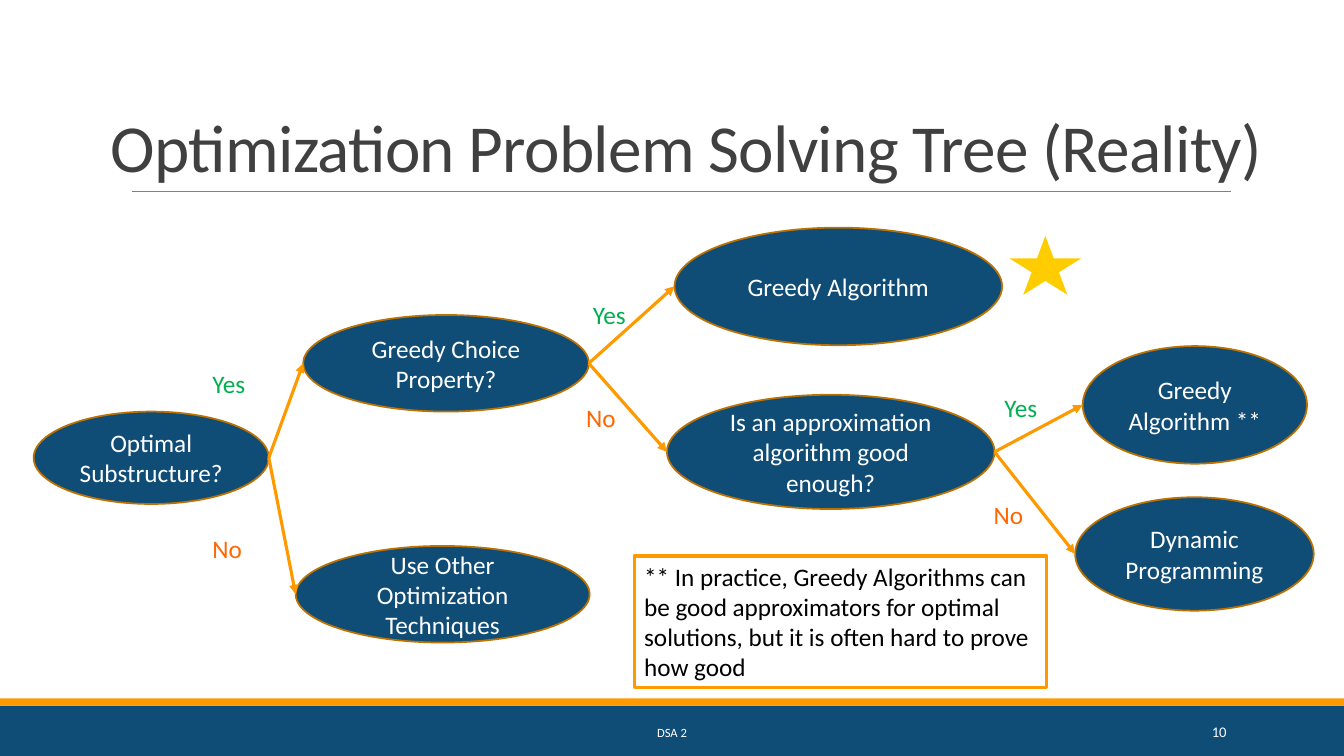
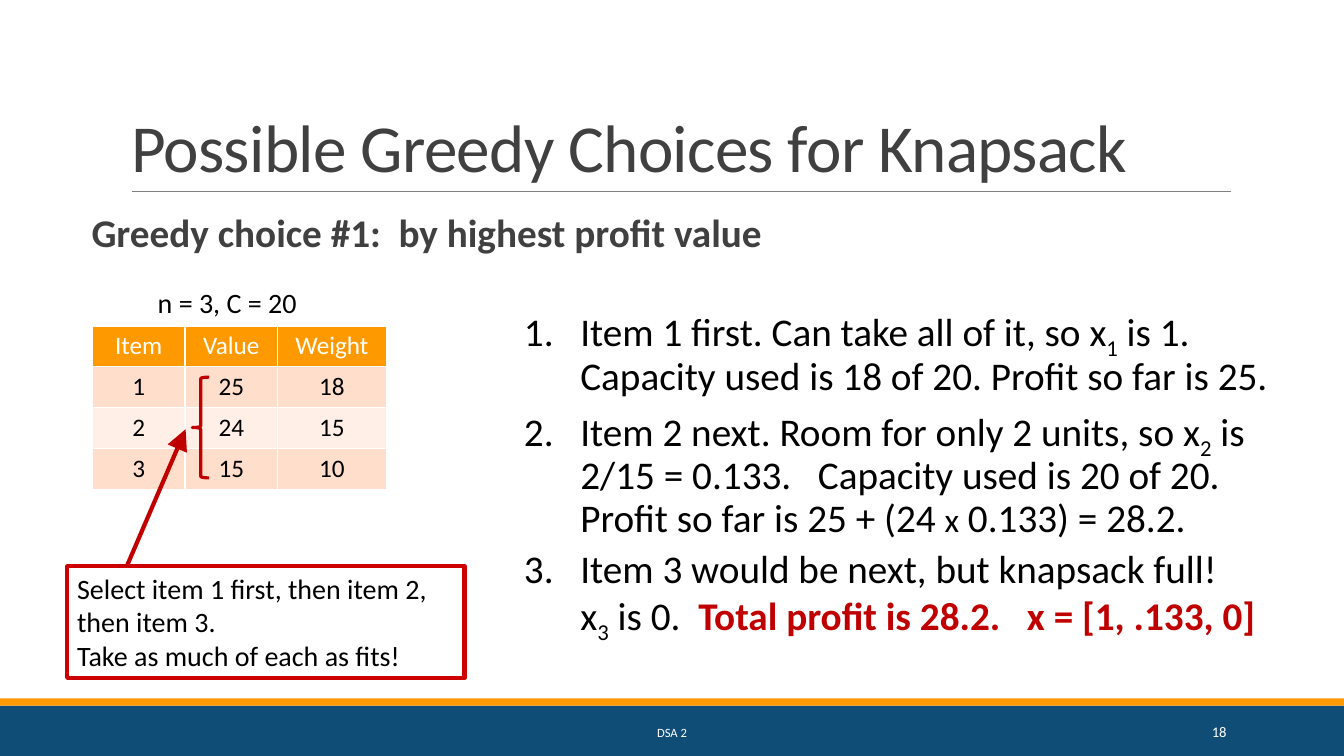
"""Builds two slides about greedy algorithms on a shared grid of 160 columns by 90 rows."""
from dataclasses import dataclass

from lxml.etree import SubElement
from pptx import Presentation
from pptx.dml.color import RGBColor
from pptx.enum.shapes import MSO_CONNECTOR, MSO_SHAPE
from pptx.enum.text import MSO_ANCHOR, MSO_AUTO_SIZE, PP_ALIGN
from pptx.oxml.ns import qn
from pptx.util import Emu, Inches, Pt

COLUMNS, ROWS = 160, 90
CELL = Inches(7.5) // ROWS
FONT = "Calibri"
TITLE_ONLY = 5
ELLIPSE_LEFT, ELLIPSE_RIGHT = 2, 6

NAVY = RGBColor(0x0F, 0x4C, 0x76)
ORANGE = RGBColor(0xFF, 0x99, 0x00)
BROWN = RGBColor(0xBD, 0x71, 0x00)
GOLD = RGBColor(0xFF, 0xCC, 0x00)
GREEN = RGBColor(0x00, 0xB0, 0x50)
VERMILION = RGBColor(0xFF, 0x66, 0x00)
RED = RGBColor(0xCC, 0x00, 0x00)
DARK_RED = RGBColor(0xC0, 0x00, 0x00)
GRAY = RGBColor(0x80, 0x80, 0x80)
CHARCOAL = RGBColor(0x40, 0x40, 0x40)
BLACK = RGBColor(0x00, 0x00, 0x00)
WHITE = RGBColor(0xFF, 0xFF, 0xFF)
PEACH = RGBColor(0xFF, 0xDE, 0xCC)
PALE_PEACH = RGBColor(0xFF, 0xEF, 0xE7)


@dataclass(frozen=True)
class Box:
    """A rectangle measured in grid columns and rows."""
    left: float
    top: float
    width: float
    height: float

    def inner(self, left, top, width, height):
        """Return a box placed relative to this one."""
        return Box(self.left + left, self.top + top, width, height)

    def point(self, left, top):
        """Return a point placed relative to this box."""
        return self.left + left, self.top + top

    def side(self, share):
        """Return the point at mid height, at a share of the width."""
        return self.point(share * self.width, self.height / 2)

    def lengths(self):
        """Return left, top, width and height as slide lengths."""
        return [cells(value) for value in (self.left, self.top, self.width, self.height)]


@dataclass(frozen=True)
class Style:
    """The look of a run of text."""
    size: float
    color: RGBColor
    bold: bool = False
    subscript: bool = False


PAGE = Box(0, 0, COLUMNS, ROWS)
TITLE = Style(48, CHARCOAL)
NODE = Style(18, WHITE)
NOTE = Style(18, BLACK)
CAPTION = Style(20, BLACK)
STEP = Style(28, BLACK)
INDEX = Style(28, BLACK, subscript=True)
TIMES = Style(24, BLACK)
RESULT = Style(28, DARK_RED, bold=True)
HEADING = Style(28, CHARCOAL, bold=True)


def cells(count):
    """Convert a number of grid cells to a slide length."""
    return Emu(round(count * CELL))


def add_runs(paragraph, *pieces):
    """Add (text, style) pieces as runs, breaking lines at newlines."""
    for text, style in pieces:
        for number, line in enumerate(text.split("\n")):
            if number:
                paragraph.add_line_break()
            run = paragraph.add_run()
            run.text = line
            run.font.name = FONT
            run.font.size = Pt(style.size)
            run.font.bold = style.bold
            run.font.color.rgb = style.color
            if style.subscript:
                run.font._element.set("baseline", "-25000")


def add_text(slide, box, text, style, align=PP_ALIGN.LEFT, anchor=MSO_ANCHOR.TOP, wrap=True):
    """Add a text box holding one paragraph and return it."""
    shape = slide.shapes.add_textbox(*box.lengths())
    frame = shape.text_frame
    frame.word_wrap = wrap
    frame.vertical_anchor = anchor
    paragraph = frame.paragraphs[0]
    paragraph.alignment = align
    add_runs(paragraph, (text, style))
    return shape


def add_framed_text(slide, box, text, style, color, width):
    """Add a text box with an outline."""
    shape = add_text(slide, box, text, style)
    shape.line.color.rgb = color
    shape.line.width = Pt(width)


def add_figure(slide, kind, box, fill=None, line=None, width=1.25):
    """Add a preset shape with the given fill and outline."""
    shape = slide.shapes.add_shape(kind, *box.lengths())
    shape.shadow.inherit = False
    if fill is None:
        shape.fill.background()
    else:
        shape.fill.solid()
        shape.fill.fore_color.rgb = fill
    if line is None:
        shape.line.fill.background()
    else:
        shape.line.color.rgb = line
        shape.line.width = Pt(width)
    return shape


def add_line(slide, start, end, color, width, head=None):
    """Add a straight line, with an arrowhead of the given size at its end."""
    ends = [cells(value) for value in (*start, *end)]
    connector = slide.shapes.add_connector(MSO_CONNECTOR.STRAIGHT, *ends)
    connector.line.color.rgb = color
    connector.line.width = Pt(width)
    properties = connector._element.spPr
    if head:
        SubElement(properties.find(qn("a:ln")), qn("a:tailEnd"), type="triangle", w=head, len=head)
    SubElement(properties, qn("a:effectLst"))
    return connector


def add_page(presentation, title, title_box, number):
    """Add a slide with its title, rule, bands and footer."""
    slide = presentation.slides.add_slide(presentation.slide_layouts[TITLE_ONLY])
    shape = slide.shapes.title
    shape.left, shape.top, shape.width, shape.height = title_box.lengths()
    frame = shape.text_frame
    frame.word_wrap = True
    frame.auto_size = MSO_AUTO_SIZE.NONE
    frame.vertical_anchor = MSO_ANCHOR.BOTTOM
    paragraph = frame.paragraphs[0]
    paragraph.alignment = PP_ALIGN.LEFT
    paragraph.line_spacing = 0.85
    add_runs(paragraph, (title, TITLE))
    paragraph.runs[0].font._element.set("spc", "-50")

    add_line(slide, PAGE.point(15.75, 22.8), PAGE.point(146.5, 22.8), GRAY, 0.5)
    band = PAGE.inner(0, 84, COLUMNS, 6)
    add_figure(slide, MSO_SHAPE.RECTANGLE, band, NAVY)
    add_figure(slide, MSO_SHAPE.RECTANGLE, band.inner(0, -0.84, COLUMNS, 0.84), ORANGE)
    add_text(slide, band.inner(48.4, 0.75, 63.2, 4.8), "DSA 2", Style(9, WHITE),
             PP_ALIGN.CENTER, MSO_ANCHOR.MIDDLE)
    add_text(slide, band.inner(130, 0.75, 17.2, 4.8), number, Style(10.5, WHITE),
             PP_ALIGN.RIGHT, MSO_ANCHOR.MIDDLE)
    return slide


def add_branch(slide, nodes, parent, child, answer, label_box):
    """Join two nodes by an arrow and write its answer beside it."""
    (start_box, start_shape), (end_box, end_shape) = nodes[parent], nodes[child]
    connector = add_line(slide, start_box.side(1), end_box.side(0), ORANGE, 2.25, "med")
    joints = connector._element.nvCxnSpPr.cNvCxnSpPr
    SubElement(joints, qn("a:stCxn"), id=str(start_shape.shape_id), idx=str(ELLIPSE_RIGHT))
    SubElement(joints, qn("a:endCxn"), id=str(end_shape.shape_id), idx=str(ELLIPSE_LEFT))
    color = GREEN if answer == "Yes" else VERMILION
    add_text(slide, label_box, answer, Style(18, color))


def add_decision_tree(slide, area):
    """Draw the decision tree with its star and note inside the area."""
    layout = {
        "substructure": ("Optimal Substructure?", (0, 22, 28, 11)),
        "choice": ("Greedy Choice Property?", (32.1, 10.5, 34, 11.5)),
        "other": ("Use Other Optimization Techniques", (31.2, 38, 35, 11.5)),
        "approximation": ("Is an approximation algorithm good enough?", (75.4, 20, 39, 13.6)),
        "approximate greedy": ("Greedy Algorithm **", (124.9, 14.2, 26.7, 14)),
        "dynamic": ("Dynamic Programming", (124, 32.2, 28.4, 13.5)),
        "greedy": ("Greedy Algorithm", (76.3, 0.1, 39, 14)),
    }
    nodes = {}
    for name, (text, place) in layout.items():
        box = area.inner(*place)
        shape = add_figure(slide, MSO_SHAPE.OVAL, box, NAVY, BROWN)
        shape.text_frame.word_wrap = True
        paragraph = shape.text_frame.paragraphs[0]
        paragraph.alignment = PP_ALIGN.CENTER
        add_runs(paragraph, (text, NODE))
        nodes[name] = box, shape

    branches = [
        ("substructure", "choice", "Yes", 20.1, 16.2),
        ("substructure", "other", "No", 20.1, 35.9),
        ("choice", "greedy", "Yes", 65.4, 8),
        ("choice", "approximation", "No", 64.6, 20.3),
        ("approximation", "approximate greedy", "Yes", 114.4, 19.1),
        ("approximation", "dynamic", "No", 113.1, 31.8),
    ]
    for parent, child, answer, left, top in branches:
        add_branch(slide, nodes, parent, child, answer, area.inner(left, top, 8, 4.8))

    add_figure(slide, MSO_SHAPE.STAR_5_POINT, area.inner(116.2, 1.1, 8.5, 7), GOLD)
    add_framed_text(slide, area.inner(71.5, 39.2, 49.1, 15.7),
                    "** In practice, Greedy Algorithms can be good approximators for optimal "
                    "solutions, but it is often hard to prove how good", NOTE, ORANGE, 2.25)


def add_item_table(slide, box):
    """Add the table of items, with its caption above."""
    add_text(slide, box.inner(6.6, -5.4, 19.1, 5.3), "n = 3, C = 20", CAPTION, wrap=False)
    rows = [("Item", "Value", "Weight"), (1, 25, 18), (2, 24, 15), (3, 15, 10)]
    table = slide.shapes.add_table(len(rows), 3, *box.lengths()).table
    for column, share in zip(table.columns, (0.315, 0.315, 0.37)):
        column.width = cells(box.width * share)
    for number, values in enumerate(rows):
        table.rows[number].height = cells(box.height / len(rows))
        fill = PEACH if number % 2 else PALE_PEACH
        for column, value in enumerate(values):
            cell = table.cell(number, column)
            cell.fill.solid()
            cell.fill.fore_color.rgb = fill if number else ORANGE
            paragraph = cell.text_frame.paragraphs[0]
            paragraph.alignment = PP_ALIGN.CENTER
            add_runs(paragraph, (str(value), NOTE if number else NODE))


def add_selection(slide, area):
    """Add the item table, its brace and the callout that explains it."""
    add_item_table(slide, area.inner(3, 5.4, 35, 19.5))
    add_figure(slide, MSO_SHAPE.LEFT_BRACE, area.inner(14.9, 11.5, 2, 12), None, DARK_RED, 2.25)
    callout = area.inner(0, 34, 47.3, 13.3)
    add_line(slide, callout.point(7.1, 0), area.point(14.1, 17.7), DARK_RED, 3, "lg")
    add_framed_text(slide, callout, "Select item 1 first, then item 2, then item 3.\n"
                    "Take as much of each as fits!", CAPTION, RED, 3)


def add_steps(slide, box):
    """Add the numbered steps of the greedy choice."""
    steps = [
        [("Item 1 first. Can take all of it, so x", STEP), ("1", INDEX),
         (" is 1.\nCapacity used is 18 of 20. Profit so far is 25.", STEP)],
        [("Item 2 next. Room for only 2 units, so x", STEP), ("2", INDEX),
         (" is 2/15 = 0.133.   Capacity used is 20 of 20.\nProfit so far is 25 + (24 ", STEP),
         ("x", TIMES), (" 0.133) = 28.2.", STEP)],
        [("Item 3 would be next, but knapsack full!\nx", STEP), ("3", INDEX),
         (" is 0.  ", STEP), ("Total profit is 28.2.   x = [1, .133, 0]", RESULT)],
    ]
    frame = slide.shapes.add_textbox(*box.lengths()).text_frame
    frame.word_wrap = True
    for number, pieces in enumerate(steps):
        paragraph = frame.add_paragraph() if number else frame.paragraphs[0]
        properties = paragraph._p.get_or_add_pPr()
        properties.set("marL", str(Inches(0.56)))
        properties.set("indent", str(-Inches(0.56)))
        SubElement(properties, qn("a:buFont"), typeface=FONT)
        SubElement(properties, qn("a:buAutoNum"), type="arabicPeriod")
        paragraph.line_spacing = 0.9
        if number:
            paragraph.space_before = Pt(6.5)
        add_runs(paragraph, *pieces)


def add_heading(slide, box):
    """Add the bold heading under the title."""
    shape = add_text(slide, box, "Greedy choice #1:  by highest profit value", HEADING)
    shape.text_frame.margin_left = shape.text_frame.margin_right = 0
    shape.text_frame.paragraphs[0].line_spacing = 0.9


def main():
    """Build and save the presentation."""
    presentation = Presentation()
    presentation.slide_width = cells(COLUMNS)
    presentation.slide_height = cells(ROWS)

    slide = add_page(presentation, "Optimization Problem Solving Tree (Reality)",
                     PAGE.inner(12, 3.6, 144, 19.2), "10")
    add_decision_tree(slide, PAGE.inner(4, 27, 152.4, 55))

    slide = add_page(presentation, "Possible Greedy Choices for Knapsack",
                     PAGE.inner(14.4, 3.7, 132, 19.1), "18")
    add_heading(slide, PAGE.inner(10.9, 24.9, 130, 6))
    add_selection(slide, PAGE.inner(8, 33.4, 47.3, 47.3))
    add_steps(slide, PAGE.inner(61.2, 36.1, 93.4, 44))

    presentation.save("out.pptx")


if __name__ == "__main__":
    main()
